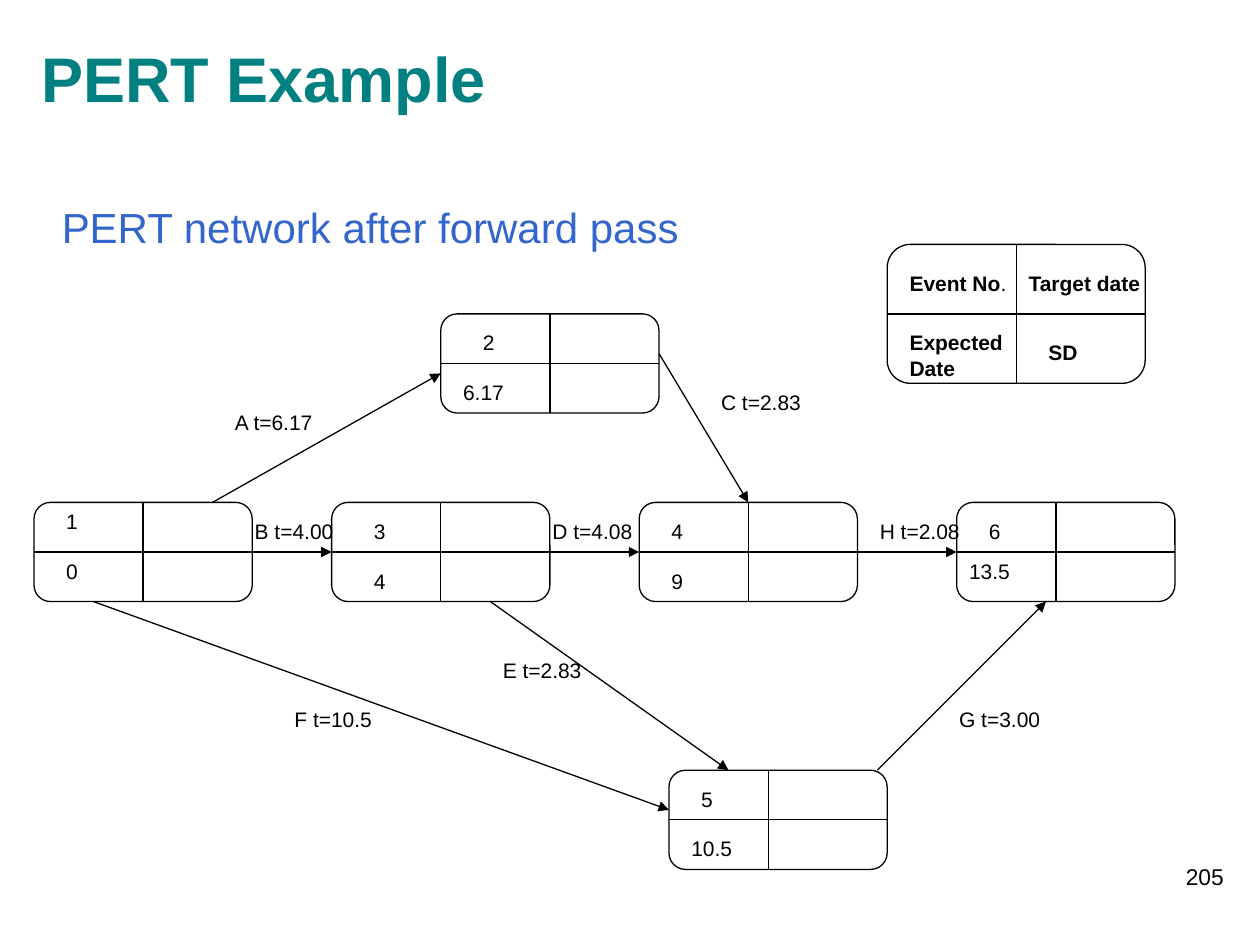
from lxml import etree
from pptx import Presentation
from pptx import util as u
from pptx.dml.color import RGBColor
from pptx.enum import shapes, text
from pptx.oxml import ns

COLORS = {"heading": "008080", "subtitle": "3366CC", "ink": "000000"}
UNIT = u.Cm(0.2)
LEFT, TOP = u.Inches(0.27), u.Inches(1.94)
NODE_COLS, NODE_ROWS = 22, 10
TOP_SIDE, LEFT_SIDE, BOTTOM_SIDE, RIGHT_SIDE = range(4)

EVENTS = {
    1: (0, 26, 11, (("1", 2, 0, 6), ("0", 2, 5, 6))),
    2: (41, 7, 11, (("2", 3, 1, 6), ("6.17", 1, 6, 9))),
    3: (30, 26, 11, (("3", 3, 1, 6), ("4", 3, 6, 6))),
    4: (61, 26, 11, (("4", 2, 1, 6), ("9", 2, 6, 6))),
    5: (64, 53, 10, (("5", 2, 1, 6), ("10.5", 1, 6, 8))),
    6: (93, 26, 10, (("6", 2, 1, 6), ("13.5", 0, 5, 11))),
}
LEGEND = (("Event No.", 1, 2, 15), ("Target date", 13, 2, 15),
          ("Expected Date", 1, 8, 15), ("SD", 15, 9, 9))
FLOWS = ((1, 3), (3, 4), (4, 6))
SLANTED = (((18, 26), (41, 13)), ((46, 36), (70, 53)),
           ((6, 36), (64, 57)), ((85, 53), (102, 36)))
ACTIVITIES = (("A t=6.17", 19, 16), ("B t=4.00", 21, 27), ("C t=2.83", 68, 14),
              ("D t=4.08", 51, 27), ("E t=2.83", 46, 41), ("F t=10.5", 25, 46),
              ("G t=3.00", 92, 46), ("H t=2.08", 84, 27))


def place(col, row):
    return LEFT + col * UNIT, TOP + row * UNIT


def style(paragraph, size, color="ink", bold=False):
    for run in paragraph.runs:
        run.font.name = "Arial"
        run.font.size = u.Pt(size)
        run.font.bold = bold
        run.font.color.rgb = RGBColor.from_string(COLORS[color])


def add_label(slide, words, col, row, cols, bold=False):
    label = slide.shapes.add_textbox(*place(col, row), cols * UNIT, u.Inches(0.3))
    frame = label.text_frame
    frame.word_wrap = True
    frame.auto_size = text.MSO_AUTO_SIZE.SHAPE_TO_FIT_TEXT
    frame.text = words
    style(frame.paragraphs[0], 12, bold=bold)
    return label


def add_line(slide, start, end, arrow=False):
    line = slide.shapes.add_connector(
        shapes.MSO_CONNECTOR.STRAIGHT, *place(*start), *place(*end))
    line.line.color.rgb = RGBColor.from_string(COLORS["ink"])
    line.line.width = u.Pt(0.75)
    properties = line._element.spPr
    if arrow:
        etree.SubElement(properties.get_or_add_ln(), ns.qn("a:tailEnd"), type="triangle")
    etree.SubElement(properties, ns.qn("a:effectLst"))
    return line


def join(line, start, start_side, end, end_side):
    line.begin_connect(start, start_side)
    line.end_connect(end, end_side)


def add_event_box(slide, col, row, cols, rows, divider):
    event = slide.shapes.add_shape(
        shapes.MSO_SHAPE.FLOWCHART_ALTERNATE_PROCESS,
        *place(col, row), cols * UNIT, rows * UNIT)
    event.shadow.inherit = False
    event.fill.background()
    event.line.color.rgb = RGBColor.from_string(COLORS["ink"])
    event.line.width = u.Pt(0.75)
    upright = add_line(slide, (col + divider, row), (col + divider, row + rows))
    if divider * 2 == cols:
        join(upright, event, TOP_SIDE, event, BOTTOM_SIDE)
    middle = row + rows // 2
    level = add_line(slide, (col, middle), (col + cols, middle))
    join(level, event, LEFT_SIDE, event, RIGHT_SIDE)
    return event


def add_network(slide):
    events = {}
    for number, (col, row, divider, entries) in EVENTS.items():
        events[number] = add_event_box(slide, col, row, NODE_COLS, NODE_ROWS, divider)
        for words, dx, dy, cols in entries:
            add_label(slide, words, col + dx, row + dy, cols)
    for start, end in FLOWS:
        flow = add_line(slide, (0, 0), (1, 0), arrow=True)
        join(flow, events[start], RIGHT_SIDE, events[end], LEFT_SIDE)
    for start, end in SLANTED:
        add_line(slide, start, end, arrow=True)
    activity_c = add_line(slide, (63, 11), (72, 26), arrow=True)
    activity_c.end_connect(events[4], TOP_SIDE)
    for words, col, row in ACTIVITIES:
        add_label(slide, words, col, row, 17)


def add_legend(slide, col, row):
    add_event_box(slide, col, row, 26, 14, 13)
    for words, dx, dy, cols in LEGEND:
        label = add_label(slide, words, col + dx, row + dy, cols, bold=True)
        if words.endswith("."):
            paragraph = label.text_frame.paragraphs[0]
            paragraph.runs[0].text = words[:-1]
            paragraph.add_run().text = "."
            style(paragraph, 12, bold=True)
            paragraph.runs[1].font.bold = False


def fill_placeholder(holder, box, words, size, color, bold, anchor):
    holder.left, holder.top, holder.width, holder.height = map(u.Inches, box)
    frame = holder.text_frame
    frame.auto_size = text.MSO_AUTO_SIZE.NONE
    frame.vertical_anchor = anchor
    frame.text = words
    paragraph = frame.paragraphs[0]
    paragraph.alignment = text.PP_ALIGN.LEFT
    paragraph.space_before = u.Pt(0)
    properties = paragraph._p.get_or_add_pPr()
    properties.set("marL", "0")
    properties.set("indent", "0")
    etree.SubElement(properties, ns.qn("a:buNone"))
    style(paragraph, size, color, bold)


def add_headings(slide):
    fill_placeholder(slide.shapes.title, (0.23, 0.15, 8.03, 0.93), "PERT Example",
                     36, "heading", True, text.MSO_ANCHOR.MIDDLE)
    fill_placeholder(slide.placeholders[1], (0.39, 1.55, 9.61, 4.82),
                     "PERT network after forward pass",
                     24, "subtitle", False, text.MSO_ANCHOR.TOP)


def add_page_number(slide):
    number = slide.shapes.add_textbox(*map(u.Inches, (7.73, 6.8, 2.08, 0.5)))
    number.text_frame.word_wrap = True
    number.text_frame.text = "205"
    paragraph = number.text_frame.paragraphs[0]
    paragraph.alignment = text.PP_ALIGN.RIGHT
    style(paragraph, 13)


def main():
    deck = Presentation()
    deck.slide_width, deck.slide_height = u.Inches(10), u.Inches(7.5)
    slide = deck.slides.add_slide(deck.slide_layouts[1])
    add_headings(slide)
    add_network(slide)
    add_legend(slide, 86, 0)
    add_page_number(slide)
    deck.save("out.pptx")


if __name__ == "__main__":
    main()
